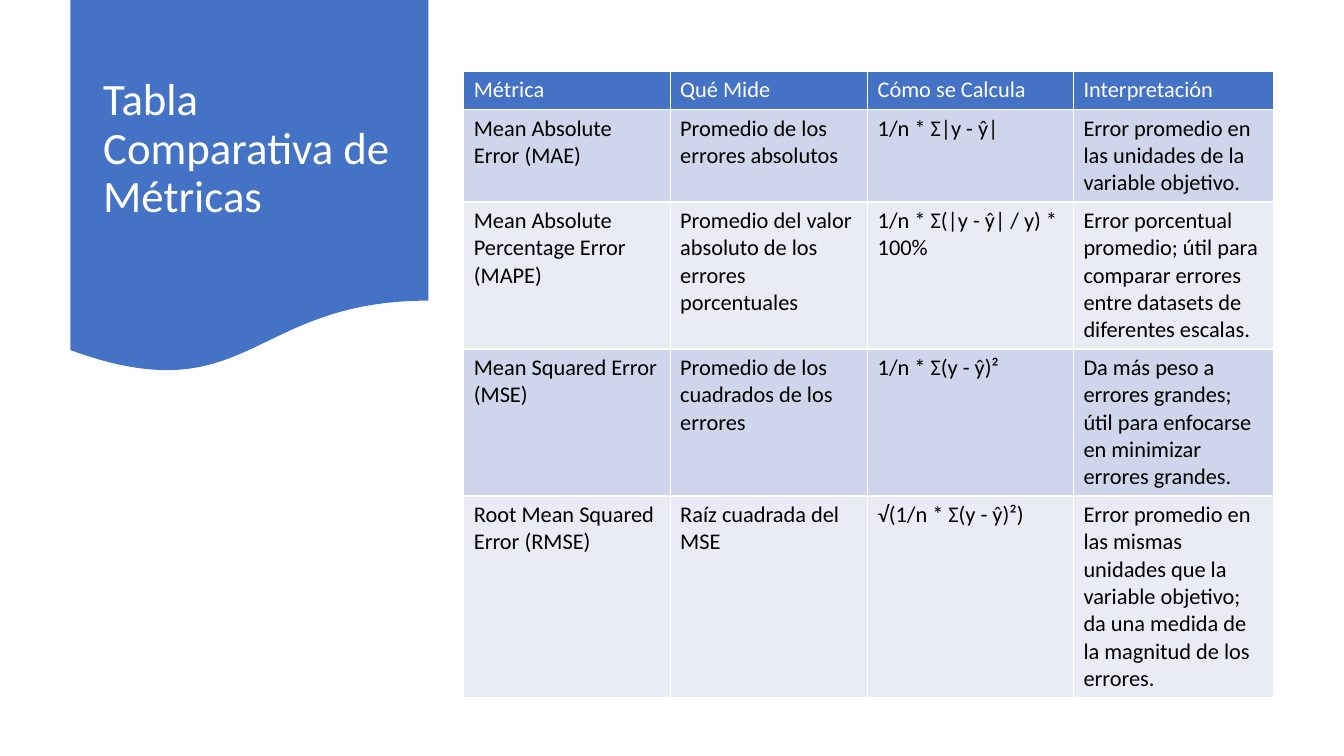
from pptx import Presentation
from pptx.dml.color import RGBColor as Rgb
from pptx.enum.shapes import MSO_SHAPE as Shape
from pptx.enum.text import MSO_ANCHOR as Anchor, PP_ALIGN as Align
from pptx.util import Pt

# Content
TITLE = "Tabla Comparativa de Métricas"
ROWS = [
    ("Métrica", "Qué Mide", "Cómo se Calcula", "Interpretación"),
    ("Mean Absolute Error (MAE)", "Promedio de los errores absolutos",
     "1/n * Σ|y - ŷ|",
     "Error promedio en las unidades de la variable objetivo."),
    ("Mean Absolute Percentage Error (MAPE)",
     "Promedio del valor absoluto de los errores porcentuales",
     "1/n * Σ(|y - ŷ| / y) * 100%",
     "Error porcentual promedio; útil para comparar errores entre datasets "
     "de diferentes escalas."),
    ("Mean Squared Error (MSE)", "Promedio de los cuadrados de los errores",
     "1/n * Σ(y - ŷ)²",
     "Da más peso a errores grandes; útil para enfocarse en minimizar "
     "errores grandes."),
    ("Root Mean Squared Error (RMSE)", "Raíz cuadrada del MSE",
     "√(1/n * Σ(y - ŷ)²)",
     "Error promedio en las mismas unidades que la variable objetivo; da una "
     "medida de la magnitud de los errores."),
]
WIDTHS = [147.4, 141.1, 147, 143.2]
HEIGHTS = [27.4, 65, 103.2, 103.2, 140.2]
COLORS = {"blue": "4472C4", "dark": "CFD5EA", "light": "E9EBF5",
          "white": "FFFFFF", "black": "000000"}
FONT = "Calibri"


def color(name):
    return Rgb.from_string(COLORS[name])


def style(para, size, ink):
    for run in para.runs:
        run.font.name = FONT
        run.font.size = Pt(size)
        run.font.bold = False
        run.font.color.rgb = color(ink)


# Slide
deck = Presentation()
deck.slide_width, deck.slide_height = Pt(960), Pt(540)
slide = deck.slides.add_slide(deck.slide_layouts[5])

# Title
title = slide.shapes.title
title.left, title.top, title.width, title.height = Pt(66.5), Pt(13.7), Pt(224), Pt(186.5)
frame = title.text_frame
frame.text = TITLE
frame.word_wrap = True
frame.vertical_anchor = Anchor.MIDDLE
head = frame.paragraphs[0]
head.alignment = Align.LEFT
head.line_spacing = 0.9
style(head, 32, "white")

# Blue panel behind the title
panel = slide.shapes.add_shape(Shape.FLOWCHART_DOCUMENT, Pt(50.3), 0, Pt(255.7), Pt(267.8))
panel.shadow.inherit = False
panel.fill.solid()
panel.fill.fore_color.rgb = color("blue")
panel.line.fill.background()
title.element.addprevious(panel.element)

# Table of metrics
grid = slide.shapes.add_table(len(ROWS), len(WIDTHS), Pt(331.3), Pt(51),
                              Pt(sum(WIDTHS)), Pt(sum(HEIGHTS))).table
for col, width in zip(grid.columns, WIDTHS):
    col.width = Pt(width)
for r, (row, high) in enumerate(zip(ROWS, HEIGHTS)):
    grid.rows[r].height = Pt(high)
    fill = "blue" if r == 0 else "dark" if r % 2 else "light"
    for c, text in enumerate(row):
        cell = grid.cell(r, c)
        cell.fill.solid()
        cell.fill.fore_color.rgb = color(fill)
        cell.text_frame.text = text
        style(cell.text_frame.paragraphs[0], 16, "black" if r else "white")

deck.save("out.pptx")
